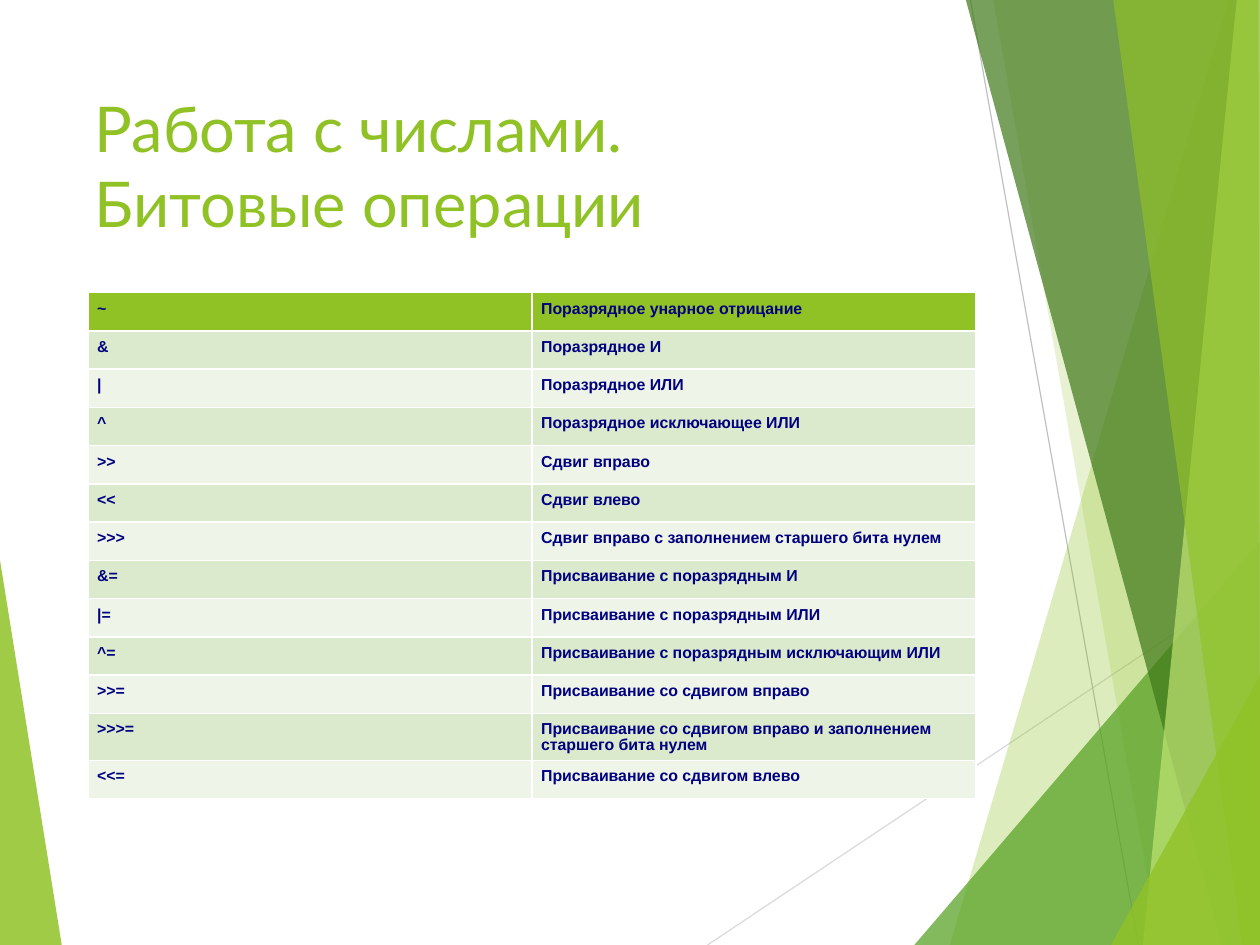
from lxml.etree import SubElement
from pptx import Presentation
from pptx.dml.color import RGBColor as RGB
from pptx.enum.shapes import MSO_CONNECTOR as CONN
from pptx.enum.text import MSO_ANCHOR as ANCHOR, MSO_AUTO_SIZE as AUTO, PP_ALIGN as ALIGN
from pptx.oxml.ns import qn
from pptx.util import Inches, Pt

W, H = 28 / 2.54, 21 / 2.54  # 28 by 21 cm, in inches
LIME, GRASS, FOREST = RGB(0x90, 0xC2, 0x26), RGB(0x54, 0xA0, 0x21), RGB(0x3F, 0x78, 0x19)
PALE_LIME, WHITE, NAVY = RGB(0xC0, 0xE4, 0x74), RGB(255, 255, 255), RGB(0, 0, 0x80)
BAND_DARK, BAND_LIGHT = RGB(0xDB, 0xE9, 0xCD), RGB(0xEE, 0xF4, 0xE8)
GRAY, LIGHT_GRAY = RGB(0xBF, 0xBF, 0xBF), RGB(0xD9, 0xD9, 0xD9)

TITLE = "Работа с числами.\vБитовые операции"
OPERATIONS = [
    ("~", "Поразрядное унарное отрицание"),
    ("&", "Поразрядное И"),
    ("|", "Поразрядное ИЛИ"),
    ("^", "Поразрядное исключающее ИЛИ"),
    (">>", "Сдвиг вправо"),
    ("<<", "Сдвиг влево"),
    (">>>", "Сдвиг вправо с заполнением старшего бита нулем"),
    ("&=", "Присваивание с поразрядным И"),
    ("|=", "Присваивание с поразрядным ИЛИ"),
    ("^=", "Присваивание с поразрядным исключающим ИЛИ"),
    (">>=", "Присваивание со сдвигом вправо"),
    (">>>=", "Присваивание со сдвигом вправо и заполнением старшего бита нулем"),
    ("<<=", "Присваивание со сдвигом влево"),
]
TWO_LINE_ROW = 11

# Start, end, colour
RAYS = [((6.19, H), (11.04, 5.03), LIGHT_GRAY), ((8.49, 0), (9.96, H), GRAY)]
# Corners, colour, opacity in percent
EDGE = 11.03
LEFT_FACET = ([(-0.01, 4.84), (0.54, H), (-0.01, H)], LIME, 85)
RIGHT_FACETS = [
    ([(10.75, 0), (8.31, H), (EDGE, H), (EDGE, 0)], LIME, 30),
    ([(8.69, 0), (10.14, H), (EDGE, H), (EDGE, 0)], LIME, 20),
    ([(8, H), (EDGE, 4.73), (EDGE, H)], GRASS, 72),
    ([(8.45, 0), (10.69, H), (EDGE, H), (EDGE, 0)], FOREST, 70),
    ([(10.82, 0), (10, H), (EDGE, H), (EDGE, 0)], PALE_LIME, 70),
    ([(9.74, 0), (10.87, H), (W, H), (11.01, 0)], LIME, 65),
    ([(9.72, H), (EDGE, 5.9), (EDGE, H)], LIME, 80),
]


def set_attrs(obj, **values):
    """Set several attributes of one object."""
    for name, value in values.items():
        setattr(obj, name, value)


def add_facet(s, corners, color, opacity):
    """Draw a translucent polygon without an outline."""
    pts = [(Inches(x), Inches(y)) for x, y in corners]
    builder = s.shapes.build_freeform(*pts[0])
    builder.add_line_segments(pts[1:], close=True)
    sp = builder.convert_to_shape()
    sp.shadow.inherit = False
    sp.line.fill.background()
    sp.fill.solid()
    sp.fill.fore_color.rgb = color
    clr = sp.element.spPr.find(".//" + qn("a:srgbClr"))
    SubElement(clr, qn("a:alpha"), val=str(opacity * 1000))


def add_ray(s, start, end, color):
    """Draw a thin straight line."""
    ray = s.shapes.add_connector(CONN.STRAIGHT, *map(Inches, start + end))
    ray.line.color.rgb = color
    ray.line.width = Pt(0.75)
    SubElement(ray.element.spPr, qn("a:effectLst"))


def add_borders(cell):
    """Give a cell thin white borders."""
    tcPr = cell._tc.get_or_add_tcPr()
    for side in "LRTB":
        ln = SubElement(tcPr, qn("a:ln" + side), w=str(Pt(1)))
        SubElement(SubElement(ln, qn("a:solidFill")), qn("a:srgbClr"), val=str(WHITE))


def format_title(title):
    """Place the title at the upper left and style it."""
    set_attrs(title, left=Inches(0.73), top=Inches(0.73), width=Inches(7.65), height=Inches(1.59))
    tf = title.text_frame
    tf.text = TITLE
    set_attrs(tf, word_wrap=True, auto_size=AUTO.NONE, vertical_anchor=ANCHOR.TOP,
              margin_left=Inches(0.1), margin_top=Inches(0.05))
    p = tf.paragraphs[0]
    p.alignment = ALIGN.LEFT
    for r in p.runs:
        set_attrs(r.font, name="Lato", size=Pt(39.7))
        r.font.color.rgb = LIME


def fill_cell(cell, text, row):
    """Write one table cell with its borders and band colour."""
    add_borders(cell)
    cell.fill.solid()
    cell.fill.fore_color.rgb = LIME if row == 0 else BAND_DARK if row % 2 else BAND_LIGHT
    set_attrs(cell, margin_left=Inches(0.08), margin_right=Inches(0.08),
              margin_top=Inches(0.08), margin_bottom=Inches(0.04))
    p = cell.text_frame.paragraphs[0]
    p.line_spacing = 0.87
    r = p.add_run()
    r.text = text
    set_attrs(r.font, name="Arial", size=Pt(10), bold=True)
    r.font.color.rgb = NAVY


def add_operations(s):
    """Build the table of bitwise operators."""
    height, tall = 4.43, 0.41
    table = s.shapes.add_table(len(OPERATIONS), 2, Inches(0.77), Inches(2.56),
                               Inches(7.77), Inches(height)).table
    row_height = Inches((height - tall) / (len(OPERATIONS) - 1))
    for i, texts in enumerate(OPERATIONS):
        table.rows[i].height = Inches(tall) if i == TWO_LINE_ROW else row_height
        for j, text in enumerate(texts):
            fill_cell(table.cell(i, j), text, i)


prs = Presentation()
set_attrs(prs, slide_width=Inches(W), slide_height=Inches(H))
s = prs.slides.add_slide(prs.slide_layouts[5])
title = s.shapes.title
add_facet(s, *LEFT_FACET)
for ray in RAYS:
    add_ray(s, *ray)
for facet in RIGHT_FACETS:
    add_facet(s, *facet)
format_title(title)
title.element.getparent().append(title.element)  # bring the title in front of the facets
add_operations(s)
prs.save("out.pptx")
